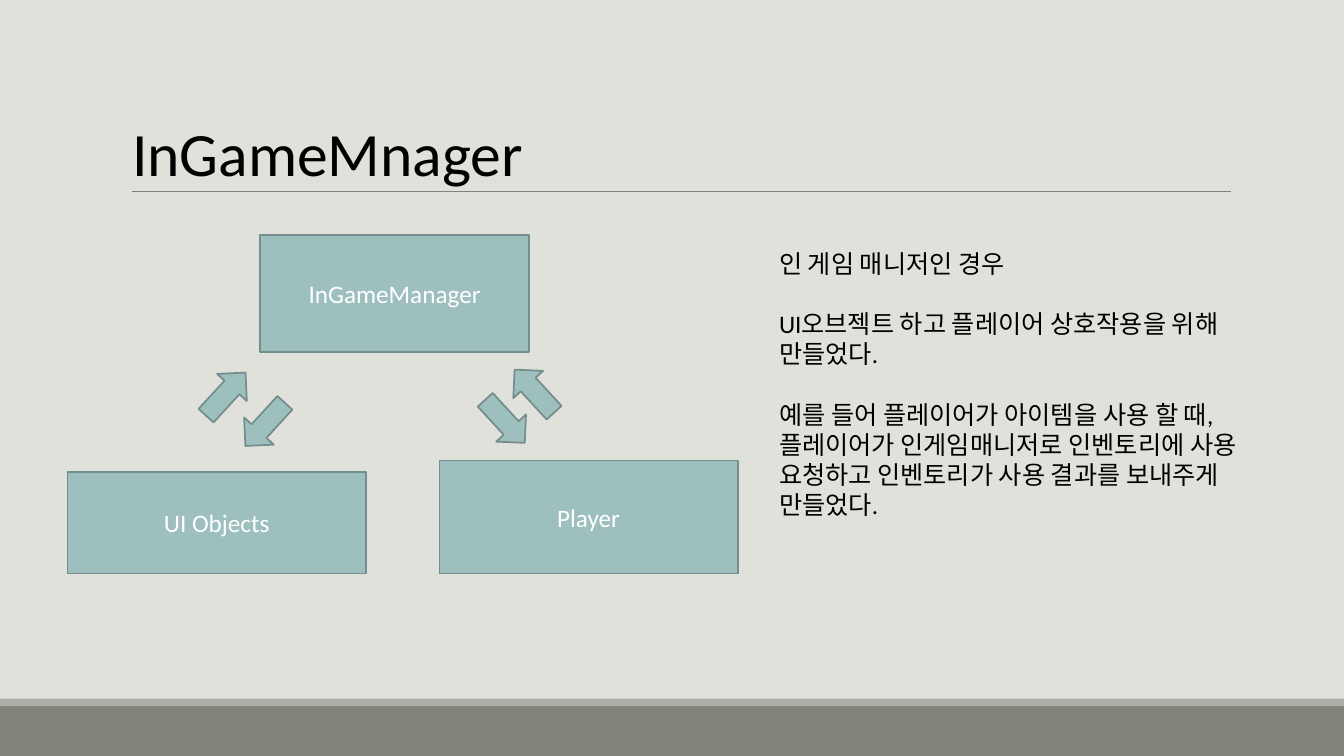
"""Build the InGameMnager slide: three linked boxes and an explanation."""
from lxml import etree
from pptx import Presentation, util as u
from pptx.dml.color import RGBColor
from pptx.enum import shapes, text
from pptx.oxml.ns import qn

SIZE = u.Inches(13.333), u.Inches(7.5)
FONT = "Calibri"
BACKGROUND, BLACK, WHITE = "E1E1DB", "000000", "FFFFFF"
TEAL, TEAL_EDGE, RULE_GREY = "9DBFBE", "748D8D", "808080"

# Places are percentages of the slide's width and height.
TITLE = ("InGameMnager", (9.08, 14.4, 84, 11.2))
RULE = (9.83, 25.33, 91.58, 25.33)
BANDS = [
    ("82847C", (0, 93.33, 100, 6.67)),
    ("ACADA8", (0, 92.4, 100, 0.93)),
]
BOXES = [
    ("InGameManager", (19.35, 31.07, 20.03, 15.47)),
    ("UI Objects", (5.03, 62.4, 22.2, 13.47)),
    ("Player", (32.7, 60.93, 22.2, 14.93)),
]
ARROW_SIZE = (4.35, 5.33)
ARROWS = [
    ((14.63, 49.47), 312.5),
    ((17.55, 53.47), 132.5),
    ((37.58, 49.07), 227.5),
    ((35.4, 53.07), 47.5),
]
NOTE_PLACE = (57.23, 32.13, 40.2, 45.73)
NOTE_GAP = 21.6
NOTE = [
    ("인 게임 매니저인 경우", 0),
    ("UI오브젝트 하고 플레이어 상호작용을 위해 만들었다.", NOTE_GAP),
    ("예를 들어 플레이어가 아이템을 사용 할 때,", NOTE_GAP),
    ("플레이어가 인게임매니저로 인벤토리에 사용 요청하고 인벤토리가 사용 결과를 보내주게 만들었다.", 0),
]


def rgb(value):
    return RGBColor.from_string(value)


def place(shares):
    return [round(share * SIZE[i % 2] / 100) for i, share in enumerate(shares)]


def add_block(s, kind, shares, fill, edge=None):
    sp = s.shapes.add_shape(kind, *place(shares))
    sp.shadow.inherit = False
    sp.fill.solid()
    sp.fill.fore_color.rgb = rgb(fill)
    if edge:
        sp.line.color.rgb = rgb(edge)
        sp.line.width = u.Pt(1.25)
    else:
        sp.line.fill.background()
    return sp


def write(sp, lines, size, color, anchor, align):
    tf = sp.text_frame
    frame = {"word_wrap": True, "vertical_anchor": anchor, "auto_size": text.MSO_AUTO_SIZE.NONE}
    for name, value in frame.items():
        setattr(tf, name, value)
    for i, (line, gap) in enumerate(lines):
        p = tf.add_paragraph() if i else tf.paragraphs[0]
        r = p.add_run()
        r.text = line
        p.alignment = align
        p.space_before = u.Pt(gap)
        for name, value in {"name": FONT, "size": u.Pt(size)}.items():
            setattr(r.font, name, value)
        r.font.color.rgb = rgb(color)


def main():
    prs = Presentation()
    prs.slide_width, prs.slide_height = SIZE
    s = prs.slides.add_slide(prs.slide_layouts[5])
    s.background.fill.solid()
    s.background.fill.fore_color.rgb = rgb(BACKGROUND)
    rect = shapes.MSO_SHAPE.RECTANGLE
    left, center = text.PP_ALIGN.LEFT, text.PP_ALIGN.CENTER
    top, middle, bottom = (text.MSO_ANCHOR.TOP, text.MSO_ANCHOR.MIDDLE, text.MSO_ANCHOR.BOTTOM)

    for fill, shares in BANDS:
        add_block(s, rect, shares, fill)
    rule = s.shapes.add_connector(shapes.MSO_CONNECTOR.STRAIGHT, *place(RULE))
    rule.line.color.rgb = rgb(RULE_GREY)
    rule.line.width = u.Pt(0.5)
    etree.SubElement(rule.element.spPr, qn("a:effectLst"))

    title = s.shapes.title
    title.left, title.top, title.width, title.height = place(TITLE[1])
    write(title, [(TITLE[0], 0)], 44, BLACK, bottom, left)

    for label, shares in BOXES:
        sp = add_block(s, rect, shares, TEAL, TEAL_EDGE)
        write(sp, [(label, 0)], 18, WHITE, middle, center)
    note = s.shapes.add_textbox(*place(NOTE_PLACE))
    write(note, NOTE, 18, BLACK, top, left)
    for corner, angle in ARROWS:
        sp = add_block(s, shapes.MSO_SHAPE.RIGHT_ARROW, corner + ARROW_SIZE, TEAL, TEAL_EDGE)
        sp.rotation = angle

    prs.save("out.pptx")


if __name__ == "__main__":
    main()
